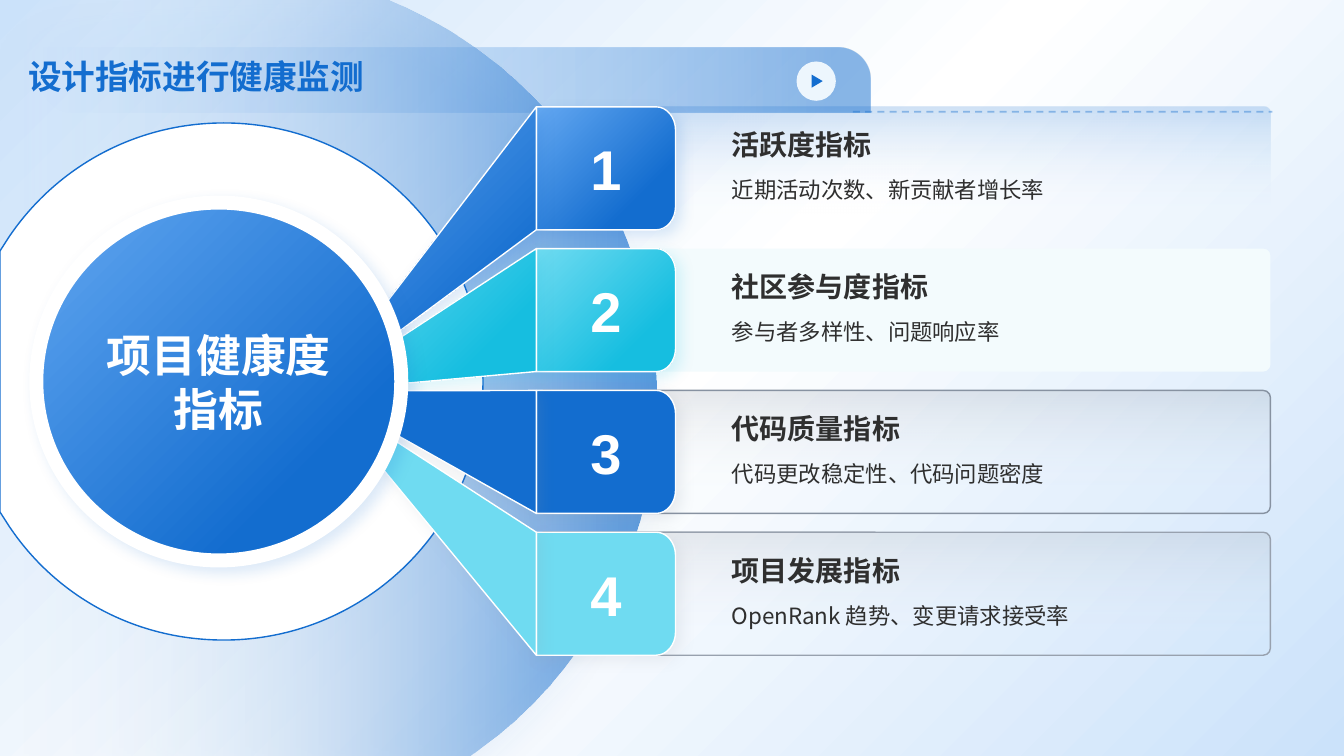
from lxml import etree
from pptx import Presentation
from pptx.dml.color import RGBColor
from pptx.enum.dml import MSO_LINE
from pptx.enum.shapes import MSO_CONNECTOR, MSO_SHAPE
from pptx.enum.text import MSO_ANCHOR, PP_ALIGN
from pptx.oxml.ns import qn
from pptx.util import Inches, Pt

WIDE, HIGH = 13.33, 7.5
BLUE, CYAN, PALE, WHITE, INK = "136DCF", "16BEE0", "6FDBF1", "FFFFFF", "2F2F2F"
SKY = [(0, "63A7F1", 100), (75, BLUE, 100)]
AQUA = [(0, PALE, 100), (75, CYAN, 100)]


def fade(hue):
    return [(0, hue, 20), (88, WHITE, 0)]


# heading, detail, detail font, tab fill, shadow, card fill, card line
ROWS = [
    ("活跃度指标", "近期活动次数、新贡献者增长率", "Arial", SKY, BLUE, fade(BLUE), None),
    ("社区参与度指标", "参与者多样性、问题响应率", "Arial", AQUA, CYAN, "F3FBFD", None),
    ("代码质量指标", "代码更改稳定性、代码问题密度", "Arial", BLUE, "8792A1",
     fade("8792A1"), "8792A1"),
    ("项目发展指标", "OpenRank 趋势、变更请求接受率", "Noto Sans CJK SC", PALE, "98A1AE",
     fade("98A1AE"), "98A1AE"),
]


def rgb(hue):
    return RGBColor.from_string(hue)


def tint(parent, hue, alpha):
    node = etree.SubElement(parent, qn("a:srgbClr"), val=hue)
    if alpha < 100:
        etree.SubElement(node, qn("a:alpha"), val=str(alpha * 1000))


def blend(props, stops, angle):
    """Swap the solid fill in props for a linear gradient."""
    old = props.find(qn("a:solidFill"))
    grad = etree.Element(qn("a:gradFill"), rotWithShape="1")
    items = etree.SubElement(grad, qn("a:gsLst"))
    for place, hue, alpha in stops:
        tint(etree.SubElement(items, qn("a:gs"), pos=str(place * 1000)), hue, alpha)
    etree.SubElement(grad, qn("a:lin"), ang=str(angle * 60000), scaled="0")
    props.replace(old, grad)


def style(shape, fill, angle=45, line=None, width=1, glow=None):
    """Set fill, outline and shadow; glow is hue, blur, distance, direction."""
    shape.shadow.inherit = False
    shape.fill.solid()
    if isinstance(fill, str):
        shape.fill.fore_color.rgb = rgb(fill)
    else:
        blend(shape._element.spPr, fill, angle)
    if line:
        shape.line.color.rgb = rgb(line)
        shape.line.width = Pt(width)
    else:
        shape.line.fill.background()
    if glow:
        hue, blur, dist, turn = glow
        cast = etree.SubElement(
            shape._element.spPr.find(qn("a:effectLst")), qn("a:outerShdw"),
            blurRad=str(Pt(blur)), dist=str(Pt(dist)), dir=str(turn * 60000),
            algn="ctr", rotWithShape="0")
        tint(cast, hue, 15)


def preset(slide, kind, x, y, w, h):
    return slide.shapes.add_shape(kind, Inches(x), Inches(y), Inches(w), Inches(h))


def outline(slide, steps, close=True):
    """Draw steps: two numbers are a point, six are a Bezier curve."""
    points = [step[i:i + 2] for step in steps for i in range(0, len(step), 2)]
    pen = slide.shapes.build_freeform(
        Inches(points[0][0]), Inches(points[0][1]), scale=1.0)
    pen.add_line_segments([(Inches(x), Inches(y)) for x, y in points[1:]], close=close)
    shape = pen.convert_to_shape()
    lines = list(shape._element.spPr.iter(qn("a:lnTo")))
    for step in steps[1:]:
        parts, lines = lines[:len(step) // 2], lines[len(step) // 2:]
        if len(parts) == 3:
            curve = etree.Element(qn("a:cubicBezTo"))
            parts[0].addprevious(curve)
            for part in parts:
                curve.append(part[0])
                part.getparent().remove(part)
    return shape


def write(shape, text, size, hue, bold=False, font="Arial", align=PP_ALIGN.LEFT,
          anchor=MSO_ANCHOR.TOP, space=None):
    frame = shape.text_frame
    frame.word_wrap = True
    frame.vertical_anchor = anchor
    para = frame.paragraphs[0]
    para.text = text
    para.alignment = align
    para.line_spacing = space
    para.font.name = font
    para.font.size = Pt(size)
    para.font.bold = bold
    para.font.color.rgb = rgb(hue)


def label(slide, x, y, w, h, *args, **looks):
    box = slide.shapes.add_textbox(Inches(x), Inches(y), Inches(w), Inches(h))
    write(box, *args, **looks)


def header(slide, x, y, w, h):
    # Band, play button and dashed rule
    band = preset(slide, MSO_SHAPE.ROUND_2_DIAG_RECTANGLE, x, y, w, h)
    band.adjustments[0], band.adjustments[1] = 0, 0.5
    style(band, [(0, "97C4F5", 0), (96, BLUE, 50)], 0)
    style(preset(slide, MSO_SHAPE.OVAL, x + w - 0.73, y + 0.14, 0.39, 0.39), "EDF6FD")
    play = preset(slide, MSO_SHAPE.ISOSCELES_TRIANGLE, x + w - 0.59, y + 0.28, 0.13, 0.11)
    play.rotation = 90
    style(play, BLUE)
    rule = slide.shapes.add_connector(
        MSO_CONNECTOR.STRAIGHT, Inches(x + w - 0.17), Inches(y + h - 0.01),
        Inches(x + w + 3.99), Inches(y + h - 0.01))
    rule.line.color.rgb = rgb(BLUE)
    rule.line.width = Pt(1.25)
    rule.line.dash_style = MSO_LINE.DASH
    hue = rule.line._ln.find(".//" + qn("a:srgbClr"))
    etree.SubElement(hue, qn("a:alpha"), val="40000")
    etree.SubElement(rule._element.spPr, qn("a:effectLst"))


def discs(slide, high):
    # Two circles cut off at the slide edge
    halo = outline(slide, [
        (0.59, 0), (3.85, 0), (3.89, 0.02), (5.43, 0.67, 6.51, 2.19, 6.51, 3.97),
        (6.51, 5.31, 5.9, 6.5, 4.95, 7.28), (4.66, high), (0, high), (0, 0.3),
        (0.17, 0.2), (0.29, 0.13, 0.42, 0.07, 0.55, 0.02)])
    style(halo, [(0, BLUE, 70), (100, WHITE, 0)], 180, glow=(BLUE, 24, 18, 123))
    ring = outline(slide, [
        (2.22, 1.22), (3.64, 1.22, 4.79, 2.37, 4.79, 3.79),
        (4.79, 5.2, 3.64, 6.35, 2.22, 6.35), (1.33, 6.35, 0.55, 5.91, 0.09, 5.22),
        (0, 5.08), (0, 2.49), (0.09, 2.35), (0.55, 1.67, 1.33, 1.22, 2.22, 1.22)])
    style(ring, WHITE, line=BLUE)


def card(slide, x, y, w, h, row):
    head, text, font, _, _, fill, line = row
    panel = preset(slide, MSO_SHAPE.ROUNDED_RECTANGLE, x, y, w, h)
    panel.adjustments[0] = 0.058
    style(panel, fill, 90, line)
    label(slide, x + 1.84, y + 0.59, 5.14, 0.5, text, 16, INK, font=font, space=1.2)
    label(slide, x + 1.84, y + 0.2, 5.14, 0.39, head, 20, INK, True,
          anchor=MSO_ANCHOR.BOTTOM)


def tab(slide, x, y, w, h, mark, row, hub):
    # Numbered tab and the spoke that ties it to the hub
    fill, glow = row[3], (row[4], 10, 5, 45)
    right, base = x + w, y + h
    bend, low, high = right - 0.19, base - 0.23, y + 0.23
    block = outline(slide, [
        (x, base), (bend, base), (right - 0.09, base, right, base - 0.1, right, low),
        (right, high), (right, y + 0.1, right - 0.09, y, bend, y), (x, y), (x, base)],
        close=False)
    style(block, fill, line=WHITE, glow=glow)
    write(block, mark, 40, WHITE, True, align=PP_ALIGN.CENTER, anchor=MSO_ANCHOR.MIDDLE)
    spoke = outline(slide, [(x, y), hub, (x, base)])
    style(spoke, fill, line=WHITE, glow=glow)


def core(slide, x, y, w, h):
    ball = preset(slide, MSO_SHAPE.OVAL, x, y, w, h)
    style(ball, SKY, line=WHITE, width=10, glow=(BLUE, 10, 5, 45))
    write(ball, "项目健康度指标", 32, WHITE, True, align=PP_ALIGN.CENTER,
          anchor=MSO_ANCHOR.MIDDLE)


def main():
    deck = Presentation()
    deck.slide_width, deck.slide_height = Inches(WIDE), Inches(HIGH)
    slide = deck.slides.add_slide(deck.slide_layouts[6])
    slide.background.fill.solid()
    blend(slide._element.find(".//" + qn("p:bgPr")),
          [(0, "CBE2FA", 100), (50, WHITE, 100), (100, "CBE2FA", 100)], 45)

    header(slide, 0.4, 0.47, 8.23, 0.65)
    discs(slide, HIGH)

    # Indicator rows
    tops = [1.06 + 4.22 / 3 * i for i in range(len(ROWS))]
    for top, row in zip(tops, ROWS):
        card(slide, 5.32, top, 7.28, 1.22, row)
    for i, (top, row) in enumerate(zip(tops, ROWS), 1):
        tab(slide, 5.32, top, 1.38, 1.22, str(i), row, (3.16, 3.88))

    core(slide, 0.36, 2.01, 3.62, 3.55)
    label(slide, 0.18, 0.51, 4.98, 0.5, "设计指标进行健康监测", 24, BLUE, True)
    deck.save("out.pptx")


if __name__ == "__main__":
    main()
